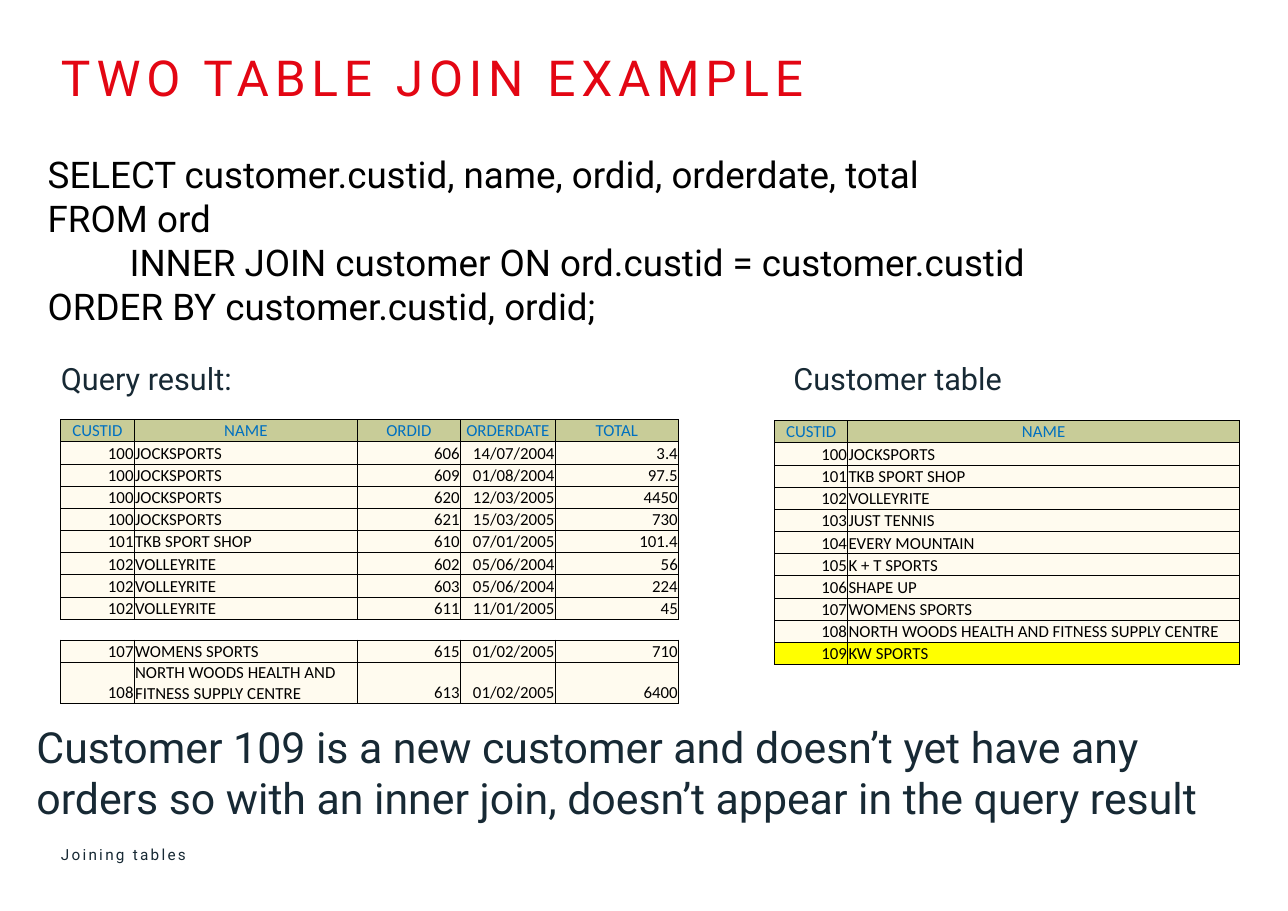
from lxml.etree import SubElement
from pptx import Presentation
from pptx.dml.color import RGBColor
from pptx.enum.text import MSO_ANCHOR as Anchor, PP_ALIGN as Align
from pptx.oxml.ns import qn
from pptx.util import Pt

PX = 1270
INK, RED, BLACK, BLUE = "172934", "E30613", "000000", "0070C0"
OLIVE, CREAM, YELLOW = "C8CC98", "FFFBEF", "FFFF00"
ROW = 145
CELL_INSET = 5
CAPTION_SIZE = (2786, 245)
LONG_NAME = "NORTH WOODS HEALTH AND FITNESS SUPPLY CENTRE"

SQL = [
    ("SELECT customer.custid, name, ordid, orderdate, total", 0),
    ("FROM ord", 0),
    ("INNER JOIN customer ON ord.custid = customer.custid", 535),
    ("ORDER BY customer.custid, ordid;", 0),
]
QUERY_HEADER = ["CUSTID", "NAME", "ORDID", "ORDERDATE", "TOTAL"]
QUERY_COLUMNS = [482, 1458, 674, 619, 806]
CUSTOMER_COLUMNS = [478, 2560]
FIRST_ORDERS = [
    ["100", "JOCKSPORTS", "606", "14/07/2004", "3.4"],
    ["100", "JOCKSPORTS", "609", "01/08/2004", "97.5"],
    ["100", "JOCKSPORTS", "620", "12/03/2005", "4450"],
    ["100", "JOCKSPORTS", "621", "15/03/2005", "730"],
    ["101", "TKB SPORT SHOP", "610", "07/01/2005", "101.4"],
    ["102", "VOLLEYRITE", "602", "05/06/2004", "56"],
    ["102", "VOLLEYRITE", "603", "05/06/2004", "224"],
    ["102", "VOLLEYRITE", "611", "11/01/2005", "45"],
]
LAST_ORDERS = [
    ["107", "WOMENS SPORTS", "615", "01/02/2005", "710"],
    ["108", LONG_NAME, "613", "01/02/2005", "6400"],
]
CUSTOMERS = ["JOCKSPORTS", "TKB SPORT SHOP", "VOLLEYRITE", "JUST TENNIS",
             "EVERY MOUNTAIN", "K + T SPORTS", "SHAPE UP", "WOMENS SPORTS",
             LONG_NAME, "KW SPORTS"]


def color(value):
    """Turn a hex string into a colour."""
    return RGBColor.from_string(value)


def apply(target, formats):
    """Set every format value on the target."""
    for name, value in formats.items():
        setattr(target, name, value)


def write(paragraph, text, size, ink, face="Roboto", spacing=0):
    """Add one styled run to a paragraph."""
    run = paragraph.add_run()
    run.text = text
    apply(run.font, {"name": face, "size": Pt(size)})
    run.font.color.rgb = color(ink)
    if spacing:
        run._r.get_or_add_rPr().set("spc", str(spacing))


def add_frame(slide, box, inset_x=0, inset_y=0, anchor=Anchor.TOP):
    """Add a wrapping text box and return its text frame."""
    frame = slide.shapes.add_textbox(*(n * PX for n in box)).text_frame
    apply(frame, {"word_wrap": True, "vertical_anchor": anchor,
                  "margin_left": inset_x * PX, "margin_right": inset_x * PX,
                  "margin_top": inset_y * PX, "margin_bottom": inset_y * PX})
    return frame


def add_line(slide, box, text, size, ink=INK, spacing=0, anchor=Anchor.TOP):
    """Place a single paragraph in the box."""
    frame = add_frame(slide, box, anchor=anchor)
    write(frame.paragraphs[0], text, size, ink, spacing=spacing)


def add_sql(slide, box):
    """Place the SQL statement, one clause a paragraph."""
    frame = add_frame(slide, box, 72, 36)
    for index, (clause, indent) in enumerate(SQL):
        paragraph = frame.add_paragraph() if index else frame.paragraphs[0]
        if indent:
            paragraph._p.get_or_add_pPr().set("marL", str(indent * PX))
        write(paragraph, clause, 24, BLACK)


def add_borders(cell):
    """Draw a thin black line on all four sides of a cell."""
    properties = cell._tc.get_or_add_tcPr()
    for side in ("a:lnL", "a:lnR", "a:lnT", "a:lnB"):
        border = SubElement(properties, qn(side), w=str(Pt(0.5)))
        SubElement(SubElement(border, qn("a:solidFill")), qn("a:srgbClr"), val=BLACK)


def fill_cell(cell, text, align, anchor, ink, fill):
    """Write and format one table cell."""
    inset = CELL_INSET * PX
    apply(cell, {"margin_left": inset, "margin_right": inset, "margin_top": inset,
                 "margin_bottom": 0, "vertical_anchor": anchor})
    add_borders(cell)
    cell.fill.solid()
    cell.fill.fore_color.rgb = color(fill)
    paragraph = cell.text_frame.paragraphs[0]
    paragraph.alignment = align
    write(paragraph, text, 11, ink, "Calibri")


def add_grid(slide, left, top, columns, records, header=None, marked=None, heights=None):
    """Place a bordered table with an optional header and a marked record."""
    rows = ([header] if header else []) + records
    heights = heights or [ROW] * len(rows)
    table = slide.shapes.add_table(len(rows), len(columns), left * PX, top * PX,
                                   sum(columns) * PX, sum(heights) * PX).table
    apply(table, {"first_row": bool(header), "horz_banding": False})
    for column, width in zip(table.columns, columns):
        column.width = width * PX
    for row, height, values in zip(table.rows, heights, rows):
        row.height = height * PX
        for index, (cell, text) in enumerate(zip(row.cells, values)):
            if values is header:
                fill_cell(cell, text, Align.CENTER, Anchor.MIDDLE, BLUE, OLIVE)
            else:
                align = Align.LEFT if index == 1 else Align.RIGHT
                fill = YELLOW if values[0] == marked else CREAM
                fill_cell(cell, text, align, Anchor.BOTTOM, BLACK, fill)


def add_query_result(slide, left, top):
    """Place the query caption and both parts of its result."""
    add_line(slide, (left + 2, top, *CAPTION_SIZE), "Query result:", 20)
    add_grid(slide, left, top + 391, QUERY_COLUMNS, FIRST_ORDERS, QUERY_HEADER)
    add_grid(slide, left, top + 1831, QUERY_COLUMNS, LAST_ORDERS, heights=[ROW, 265])


def add_customers(slide, left, top):
    """Place the customer caption and table, with the new customer marked."""
    records = [[str(custid), name] for custid, name in enumerate(CUSTOMERS, 100)]
    add_line(slide, (left + 123, top, *CAPTION_SIZE), "Customer table", 20)
    add_grid(slide, left, top + 398, CUSTOMER_COLUMNS, records, QUERY_HEADER[:2],
             marked="109")


def main():
    """Build and save the slide."""
    deck = Presentation()
    apply(deck, {"slide_width": 8417 * PX, "slide_height": 5954 * PX})
    slide = deck.slides.add_slide(deck.slide_layouts[6])
    add_line(slide, (398, 306, 7711, 446), "TWO TABLE JOIN EXAMPLE", 32.4, RED, 380)
    add_sql(slide, (241, 954, 7862, 1238))
    add_query_result(slide, 396, 2351)
    add_customers(slide, 5062, 2351)
    add_line(slide, (238, 4709, 8000, 677),
             "Customer 109 is a new customer and doesn’t yet have any orders "
             "so with an inner join, doesn’t appear in the query result", 28)
    add_line(slide, (398, 5505, 5249, 158), "Joining tables", 10, spacing=150,
             anchor=Anchor.MIDDLE)
    deck.save("out.pptx")


if __name__ == "__main__":
    main()
